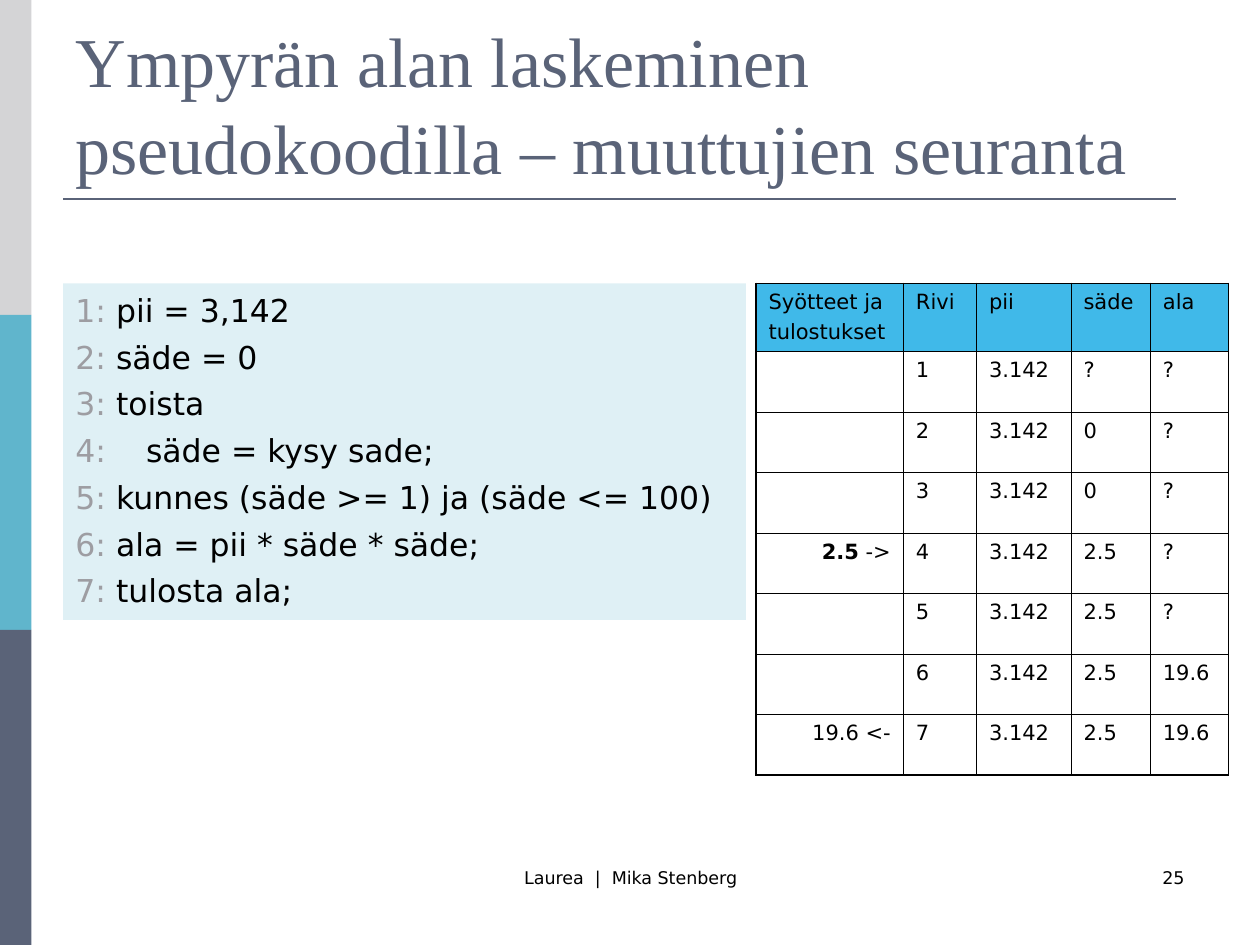
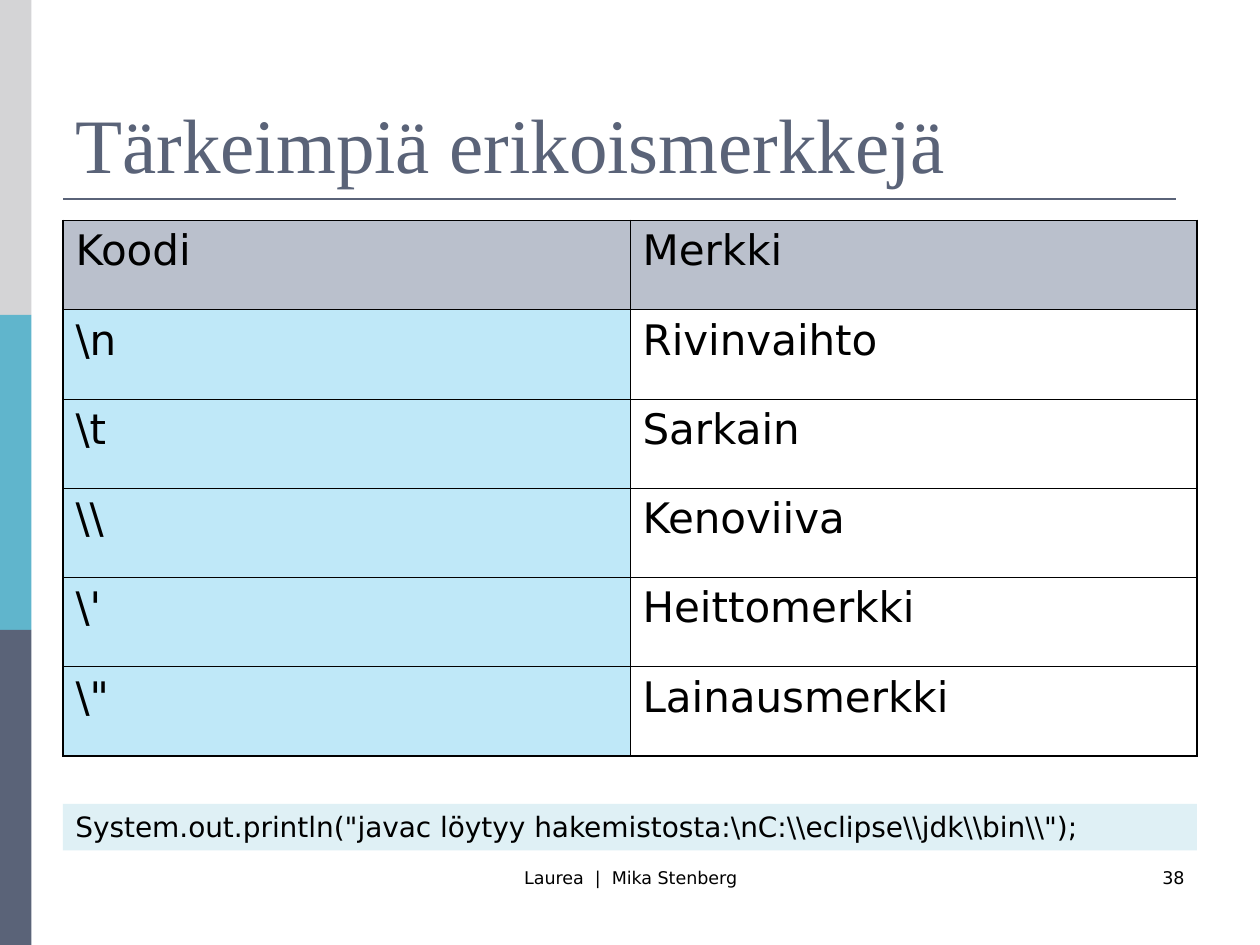
import pptx
import pptx.dml.color
import pptx.enum.shapes
import pptx.enum.text
import pptx.oxml.ns
import pptx.util
from lxml import etree
from pptx.util import Inches

# Shared look
BODY_FONT, TITLE_FONT = "DejaVu Sans", "Times New Roman"
BLACK, SLATE, PALE_BLUE, LINE_NUMBER = "000000", "5A6378", "DFF0F5", "9D9DA2"
SIDE_BANDS = ["D4D4D6", "60B5CC", SLATE]
FOOTER = "Laurea  |  Mika Stenberg"
OUTER_BORDER, INNER_BORDER = 1.08, 0.45
ALIGN = pptx.enum.text.PP_ALIGN
ANCHOR = pptx.enum.text.MSO_ANCHOR

# Slide 1 content
TRACE_TITLE = "Ympyrän alan laskeminen pseudokoodilla – muuttujien seuranta"
PSEUDOCODE = [
    "pii = 3,142",
    "säde = 0",
    "toista",
    "   säde = kysy sade;",
    "kunnes (säde >= 1) ja (säde <= 100)",
    "ala = pii * säde * säde;",
    "tulosta ala;",
]
TRACE_HEADER = [["Syötteet ja", "tulostukset"], "Rivi", "pii", "säde", "ala"]
TRACE_STEPS = [  # input or output, radius, area
    ("", "?", "?"),
    ("", "0", "?"),
    ("", "0", "?"),
    ([[("2.5", {"bold": True}), (" ->", {})]], "2.5", "?"),
    ("", "2.5", "?"),
    ("", "2.5", "19.6"),
    ("19.6 <-", "2.5", "19.6"),
]

# Slide 2 content
ESCAPES_TITLE = "Tärkeimpiä erikoismerkkejä"
ESCAPES = [
    ("Koodi", "Merkki"),
    (r"\n", "Rivinvaihto"),
    (r"\t", "Sarkain"),
    (r"\\", "Kenoviiva"),
    (r"\'", "Heittomerkki"),
    (r'\"', "Lainausmerkki"),
]
PRINT_EXAMPLE = r'System.out.println("javac löytyy hakemistosta:\nC:\\eclipse\\jdk\\bin\\");'


def rgb(code):
    return pptx.dml.color.RGBColor.from_string(code)


def write(frame, content, size=12, font=BODY_FONT, color=BLACK, align=ALIGN.LEFT,
          anchor=ANCHOR.TOP, gap=0, spacing=None):
    """Fill a frame with a string or a list of paragraphs (strings or run lists)."""
    frame.word_wrap = True
    frame.vertical_anchor = anchor
    paragraphs = [content] if isinstance(content, str) else content
    for index, runs in enumerate(paragraphs):
        paragraph = frame.add_paragraph() if index else frame.paragraphs[0]
        paragraph.alignment = align
        paragraph.space_before = pptx.util.Pt(gap if index else 0)
        if spacing:
            paragraph.line_spacing = spacing
        for words, changes in [(runs, {})] if isinstance(runs, str) else runs:
            run = paragraph.add_run()
            run.text = words
            run.font.size = pptx.util.Pt(size)
            run.font.name = font
            run.font.bold = changes.get("bold", False)
            run.font.color.rgb = rgb(changes.get("color", color))


def add_box(slide, left, top, width, height, fill):
    box = slide.shapes.add_shape(pptx.enum.shapes.MSO_SHAPE.RECTANGLE, Inches(left),
                                 Inches(top), Inches(width), Inches(height))
    box.shadow.inherit = False
    box.fill.solid()
    box.fill.fore_color.rgb = rgb(fill)
    box.line.fill.background()
    return box.text_frame


def add_label(slide, left, width, words, align):
    label = slide.shapes.add_textbox(Inches(left), Inches(6.83), Inches(width), Inches(0.5))
    write(label.text_frame, words, size=10, align=align)


def add_slide(deck, title, title_size, number):
    slide = deck.slides.add_slide(deck.slide_layouts[5])
    # Side bands
    for index, fill in enumerate(SIDE_BANDS):
        add_box(slide, 0, 2.5 * index, 0.25, 2.5, fill)
    # Rule under the title
    rule = slide.shapes.add_connector(pptx.enum.shapes.MSO_CONNECTOR.STRAIGHT,
                                      Inches(0.5), Inches(1.58), Inches(9.33), Inches(1.58))
    rule.line.color.rgb = rgb(SLATE)
    rule.line.width = pptx.util.Pt(1.5)
    etree.SubElement(rule._element.spPr, pptx.oxml.ns.qn("a:effectLst"))
    # Footer
    add_label(slide, 3.42, 3.17, FOOTER, ALIGN.CENTER)
    add_label(slide, 7.17, 2.33, str(number), ALIGN.RIGHT)
    # Title
    heading = slide.shapes.title
    heading.left, heading.top = Inches(0.5), Inches(0.3)
    heading.width, heading.height = Inches(9), Inches(1.25)
    heading.text_frame.auto_size = pptx.enum.text.MSO_AUTO_SIZE.NONE
    write(heading.text_frame, title, size=title_size, font=TITLE_FONT, color=SLATE,
          anchor=ANCHOR.BOTTOM, spacing=1.04)
    return slide


def set_borders(cell, outer_sides):
    properties = cell._tc.get_or_add_tcPr()
    for position, side in enumerate("LRTB"):
        points = OUTER_BORDER if side in outer_sides else INNER_BORDER
        border = etree.Element(pptx.oxml.ns.qn("a:ln" + side), w=str(pptx.util.Pt(points)))
        paint = etree.SubElement(border, pptx.oxml.ns.qn("a:solidFill"))
        etree.SubElement(paint, pptx.oxml.ns.qn("a:srgbClr"), val=BLACK)
        properties.insert(position, border)


def add_grid(slide, left, top, widths, heights, rows, header_fill, size, gap=0,
             first_fill=None, first_align=ALIGN.LEFT):
    grid = slide.shapes.add_table(len(rows), len(widths), Inches(left), Inches(top),
                                  Inches(sum(widths)), Inches(sum(heights))).table
    grid.first_row = grid.horz_banding = False
    for column, width in zip(grid.columns, widths):
        column.width = Inches(width)
    for row, height in zip(grid.rows, heights):
        row.height = Inches(height)
    last_row, last_column = len(rows) - 1, len(widths) - 1
    for r, values in enumerate(rows):
        for c, value in enumerate(values):
            cell = grid.cell(r, c)
            fill = header_fill if r == 0 else first_fill if c == 0 else None
            if fill:
                cell.fill.solid()
                cell.fill.fore_color.rgb = rgb(fill)
            else:
                cell.fill.background()
            edges = {"L": c == 0, "R": c == last_column, "T": r == 0, "B": r == last_row}
            set_borders(cell, [side for side, outer in edges.items() if outer])
            if value:
                write(cell.text_frame, value, size=size, gap=gap,
                      align=first_align if r and c == 0 else ALIGN.LEFT)


def build_trace(deck):
    slide = add_slide(deck, TRACE_TITLE, 40, 25)
    # Numbered pseudocode
    lines = [[(f"{number}: ", {"color": LINE_NUMBER}), (code, {})]
             for number, code in enumerate(PSEUDOCODE, 1)]
    write(add_box(slide, 0.5, 2.25, 5.42, 2.67, PALE_BLUE), lines, size=18, gap=4.5,
          spacing=1.03)
    # Variable values after each line
    steps = [(io_text, str(number), "3.142", radius, area)
             for number, (io_text, radius, area) in enumerate(TRACE_STEPS, 1)]
    add_grid(slide, 6, 2.25, [1.17, 0.58, 0.75, 0.63, 0.62], [0.54] + [0.48] * len(steps),
             [TRACE_HEADER] + steps, "40B9E9", size=12, gap=3, first_align=ALIGN.RIGHT)


def build_escapes(deck):
    slide = add_slide(deck, ESCAPES_TITLE, 44, 38)
    # Escape codes
    add_grid(slide, 0.5, 1.75, [4.5, 4.5], [4.25 / len(ESCAPES)] * len(ESCAPES), ESCAPES,
             "BAC0CC", size=24, first_fill="BFE8F8")
    # Example statement
    write(add_box(slide, 0.5, 6.38, 9, 0.37, PALE_BLUE), PRINT_EXAMPLE, size=16)


def main():
    deck = pptx.Presentation()
    deck.slide_width, deck.slide_height = Inches(10), Inches(7.5)
    build_trace(deck)
    build_escapes(deck)
    deck.save("out.pptx")


if __name__ == "__main__":
    main()
